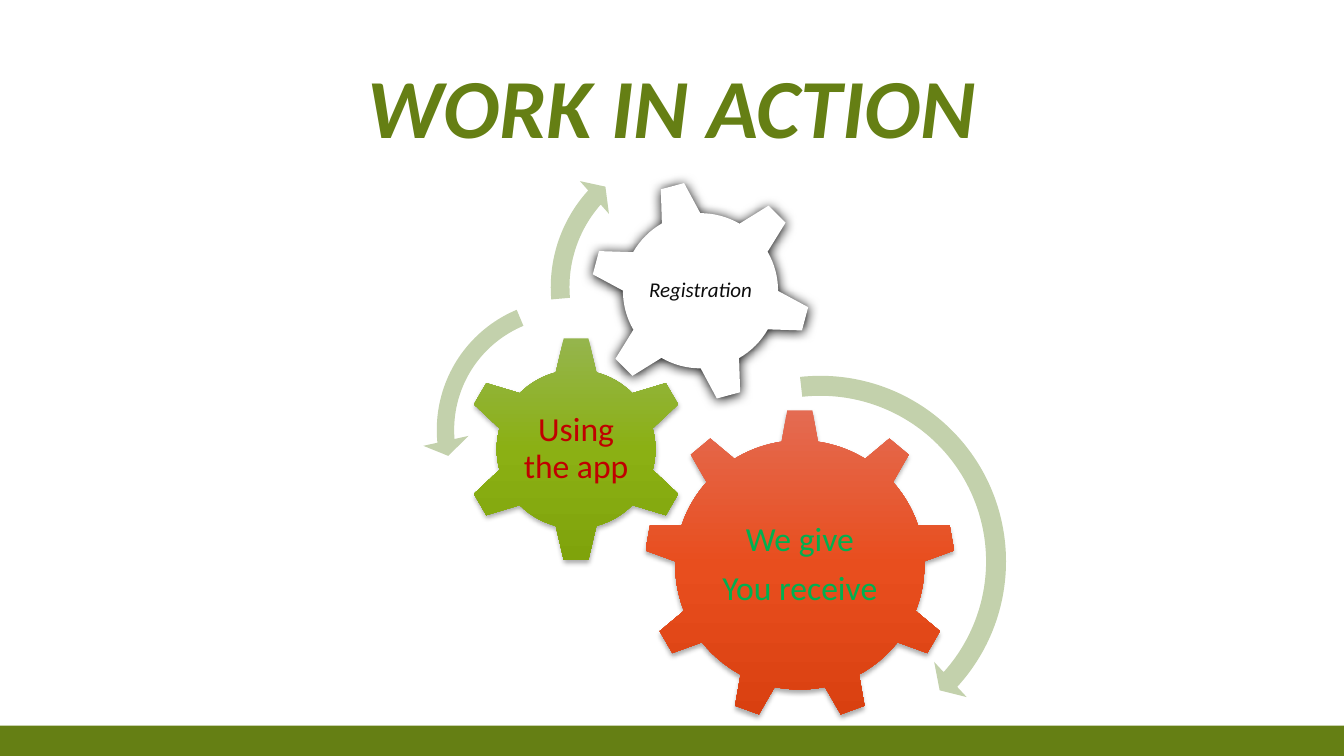
"""Build a slide with three interlocking gears and their turning arrows."""
from copy import deepcopy

from lxml.etree import SubElement
from pptx import Presentation
from pptx.dml.color import RGBColor
from pptx.enum.shapes import MSO_SHAPE
from pptx.enum.text import MSO_ANCHOR, MSO_AUTO_SIZE, PP_ALIGN
from pptx.oxml.ns import qn
from pptx.util import Pt

COLORS = {
    "olive": "657F14", "white": "FFFFFF", "black": "000000", "ink": "0D0D0D",
    "green": "00B050", "red": "C00000", "sage": "C3D1AC",
    "coral": "E46B52", "orange": "E84E1E", "rust": "D94010",
    "moss": "95B54E", "lime": "8BB014", "leaf": "7FA30B",
}
SLIDE = (960, 540)
BAR_HEIGHT = 21.6
TITLE = {"text": "WORK IN ACTION", "box": (120, 25.2, 720, 90),
         "font": {"size": Pt(60), "bold": True, "italic": True}}
SOFT_SHADOW = {"alpha": 32, "blur": 3.5, "distance": 2.2}
STRONG_SHADOW = {"alpha": 100, "blur": 8.5, "distance": 1}
GEARS = [
    {"kind": MSO_SHAPE.GEAR_9, "center": (571.3, 403.5), "size": 222.5, "turn": 0,
     "fill": ["coral", "orange", "rust"], "shadow": SOFT_SHADOW,
     "label": ["We give", "You receive"], "label_size": (133.2, 117.3),
     "color": "green", "font": {"size": Pt(24)}, "gap": 9},
    {"kind": MSO_SHAPE.GEAR_6, "center": (411.5, 320.8), "size": 162, "turn": 0,
     "fill": ["moss", "lime", "leaf"], "shadow": SOFT_SHADOW,
     "label": ["Using the app"], "label_size": (80.6, 80),
     "color": "red", "font": {"size": Pt(24)}, "gap": 9},
    {"kind": MSO_SHAPE.GEAR_6, "center": (500.4, 207.7), "size": 158.4, "turn": 345,
     "fill": ["white"], "shadow": STRONG_SHADOW,
     "label": ["Registration"], "label_size": (89.3, 89.3),
     "color": "ink", "font": {"size": Pt(15), "italic": True}, "gap": 6},
]
ARROWS = [
    (MSO_SHAPE.CIRCULAR_ARROW, (443.5, 258.5), 285.1, (0.05, 2.99, 25.35, 158.22, 0.06)),
    (MSO_SHAPE.LEFT_CIRCULAR_ARROW, (301.7, 203.8), 206.6, (0.06, 4.3, 104.89, 148.38, 0.08)),
    (MSO_SHAPE.CIRCULAR_ARROW, (384.5, 93.6), 223.2, (0.06, 3.94, 133.14, 105.08, 0.07)),
]


def rgb(name):
    return RGBColor.from_string(COLORS[name])


def centered(center, width, height):
    return center[0] - width / 2, center[1] - height / 2, width, height


def add_filled(page, kind, box, fill):
    shape = page.shapes.add_shape(kind, *map(Pt, box))
    shape.shadow.inherit = False
    shape.line.fill.background()
    if len(fill) == 1:
        shape.fill.solid()
        shape.fill.fore_color.rgb = rgb(fill[0])
        return shape
    shape.fill.gradient()
    shape.fill.gradient_angle = 270
    stops = shape.element.spPr.find(".//" + qn("a:gsLst"))
    while len(stops) < len(fill):
        stops.append(deepcopy(stops[0]))
    for index, (stop, name) in enumerate(zip(shape.fill.gradient_stops, fill)):
        stop.position = index / (len(fill) - 1)
        stop.color.rgb = rgb(name)
    return shape


def add_shadow(shape, alpha, blur, distance):
    effects = shape.element.spPr.find(qn("a:effectLst"))
    shadow = SubElement(effects, qn("a:outerShdw"), blurRad=str(Pt(blur)),
                        dist=str(Pt(distance)), dir="5400000", rotWithShape="0")
    color = SubElement(shadow, qn("a:srgbClr"), val=COLORS["black"])
    SubElement(color, qn("a:alpha"), val=str(alpha * 1000))


def write(frame, lines, color, font, anchor, inset, gap=0):
    frame_format = {"word_wrap": True, "auto_size": MSO_AUTO_SIZE.NONE,
                    "vertical_anchor": anchor}
    for side in ("left", "right", "top", "bottom"):
        frame_format["margin_" + side] = Pt(inset)
    for name, value in frame_format.items():
        setattr(frame, name, value)
    for index, line in enumerate(lines):
        para = frame.add_paragraph() if index else frame.paragraphs[0]
        para.alignment = PP_ALIGN.CENTER
        para.line_spacing = 0.9
        para.space_before = Pt(0)
        para.space_after = Pt(gap)
        span = para.add_run()
        span.text = line
        span.font.name = "Calibri"
        span.font.color.rgb = rgb(color)
        for name, value in font.items():
            setattr(span.font, name, value)


def add_gear(page, gear):
    box = centered(gear["center"], gear["size"], gear["size"])
    shape = add_filled(page, gear["kind"], box, gear["fill"])
    shape.rotation = gear["turn"]
    add_shadow(shape, **gear["shadow"])
    label_box = centered(gear["center"], *gear["label_size"])
    label = page.shapes.add_textbox(*map(Pt, label_box))
    write(label.text_frame, gear["label"], gear["color"], gear["font"],
          MSO_ANCHOR.MIDDLE, 2, gear["gap"])


def main():
    deck = Presentation()
    deck.slide_width, deck.slide_height = map(Pt, SLIDE)
    page = deck.slides.add_slide(deck.slide_layouts[5])
    title = page.shapes.title
    title.left, title.top, title.width, title.height = map(Pt, TITLE["box"])
    write(title.text_frame, [TITLE["text"]], "olive", TITLE["font"], MSO_ANCHOR.BOTTOM, 3.6)
    bar_box = (0, SLIDE[1] - BAR_HEIGHT, SLIDE[0], BAR_HEIGHT)
    add_filled(page, MSO_SHAPE.RECTANGLE, bar_box, ["olive"])
    for gear in GEARS:
        add_gear(page, gear)
    for kind, corner, size, bends in ARROWS:
        arrow = add_filled(page, kind, (*corner, size, size), ["sage"])
        for index, bend in enumerate(bends):
            arrow.adjustments[index] = bend
    deck.save("out.pptx")


if __name__ == "__main__":
    main()
